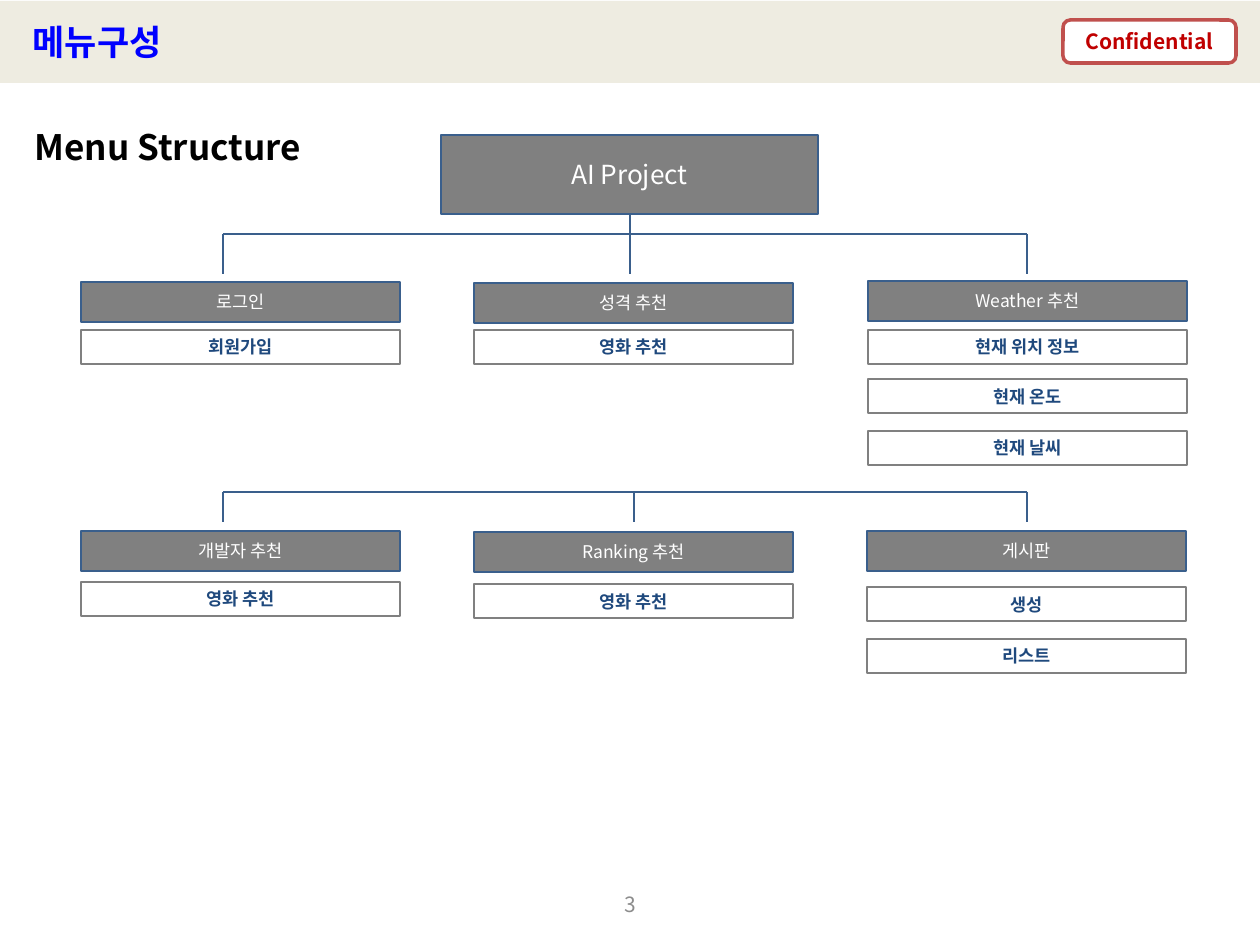
import pptx
import pptx.dml.color
import pptx.enum.shapes
import pptx.enum.text
import pptx.oxml.ns
import pptx.util
from lxml import etree

RGB = pptx.dml.color.RGBColor
SHAPE = pptx.enum.shapes.MSO_SHAPE
ALIGN = pptx.enum.text.PP_ALIGN
WHITE = RGB(255, 255, 255)
BLACK = RGB(0, 0, 0)
CREAM = RGB(0xEE, 0xEC, 0xE1)
GRAY = RGB(0x80, 0x80, 0x80)
PALE_GRAY = RGB(0x8C, 0x8C, 0x8C)
STEEL = RGB(0x3A, 0x5F, 0x8C)
NAVY = RGB(0x1F, 0x49, 0x7D)
BLUE = RGB(0, 0, 255)
RED = RGB(0xC0, 0x50, 0x4D)
DARK_RED = RGB(0xC0, 0, 0)

FONT = "Noto Sans CJK KR"
EMU_PER_PX = 914400 / 126
MENU_WIDTH, HEADER_HEIGHT, ITEM_HEIGHT = 319, 40, 34

MENUS = [
    (81, 282, "로그인", [(330, "회원가입")]),
    (474, 283, "성격 추천", [(330, "영화 추천")]),
    (868, 281, "Weather 추천",
     [(330, "현재 위치 정보"), (379, "현재 온도"), (431, "현재 날씨")]),
    (81, 531, "개발자 추천", [(582, "영화 추천")]),
    (474, 532, "Ranking 추천", [(584, "영화 추천")]),
    (867, 531, "게시판", [(587, "생성"), (639, "리스트")]),
]


def px(length):
    return pptx.util.Emu(round(length * EMU_PER_PX))


def write(box, text, size, color, bold=False, align=ALIGN.CENTER):
    frame = box.text_frame
    frame_format = {
        "word_wrap": True,
        "auto_size": pptx.enum.text.MSO_AUTO_SIZE.NONE,
        "vertical_anchor": pptx.enum.text.MSO_ANCHOR.MIDDLE,
        "margin_top": 0,
        "margin_bottom": 0,
    }
    for name, value in frame_format.items():
        setattr(frame, name, value)
    para = frame.paragraphs[0]
    para.alignment = align
    span = para.add_run()
    span.text = text
    font_format = {"name": FONT, "size": pptx.util.Pt(size), "bold": bold}
    for name, value in font_format.items():
        setattr(span.font, name, value)
    span.font.color.rgb = color
    east_asian = etree.SubElement(
        span.font._element, pptx.oxml.ns.qn("a:ea"))
    east_asian.set("typeface", FONT)


def add_box(page, bounds, fill=None, line=None, weight=0.75, kind=SHAPE.RECTANGLE):
    box = page.shapes.add_shape(kind, *map(px, bounds))
    box.shadow.inherit = False
    if fill is None:
        box.fill.background()
    else:
        box.fill.solid()
        box.fill.fore_color.rgb = fill
    if line is None:
        box.line.fill.background()
    else:
        box.line.color.rgb = line
        box.line.width = pptx.util.Pt(weight)
    return box


def add_label(page, bounds, *text_format):
    write(page.shapes.add_textbox(*map(px, bounds)), *text_format)


def add_line(page, *ends):
    line = page.shapes.add_connector(
        pptx.enum.shapes.MSO_CONNECTOR.STRAIGHT, *map(px, ends))
    line.line.color.rgb = STEEL
    line.line.width = pptx.util.Pt(0.75)
    etree.SubElement(line._element.spPr, pptx.oxml.ns.qn("a:effectLst"))


def add_branch(page, top, bottom, columns):
    add_line(page, columns[0], top, columns[-1], top)
    for column in columns:
        add_line(page, column, top, column, bottom)


def add_menu(page, left, top, heading, items):
    header = add_box(page, (left, top, MENU_WIDTH, HEADER_HEIGHT), GRAY, STEEL)
    write(header, heading, 10, WHITE)
    for item_top, text in items:
        item = add_box(page, (left, item_top, MENU_WIDTH, ITEM_HEIGHT), line=GRAY)
        write(item, text, 10, NAVY, True)


def add_title(page, text, bounds):
    title = page.shapes.title
    for name, value in zip(("left", "top", "width", "height"), bounds):
        setattr(title, name, px(value))
    write(title, text, 20, BLUE, True, ALIGN.LEFT)


def main():
    deck = pptx.Presentation()
    deck.slide_width, deck.slide_height = px(1260), px(945)
    page = deck.slides.add_slide(deck.slide_layouts[5])

    band = add_box(page, (0, 1, 1260, 82), CREAM)
    page.shapes.element.insert(2, band.element)
    add_title(page, "메뉴구성", (20, 7, 876, 69))
    stamp = add_box(page, (1063, 20, 173, 43), WHITE, RED, 2, SHAPE.ROUNDED_RECTANGLE)
    write(stamp, "Confidential", 12, DARK_RED, True)

    add_label(page, (22, 119, 310, 55), "Menu Structure", 20, BLACK, True, ALIGN.LEFT)
    root = add_box(page, (441, 135, 377, 79), GRAY, STEEL)
    write(root, "AI Project", 15, WHITE)
    for menu in MENUS:
        add_menu(page, *menu)

    add_line(page, 630, 214, 630, 234)
    add_branch(page, 234, 274, (223, 630, 1027))
    add_branch(page, 492, 522, (223, 634, 1027))
    add_label(page, (20, 879, 1221, 50), "3", 12, PALE_GRAY)
    deck.save("out.pptx")


if __name__ == "__main__":
    main()
